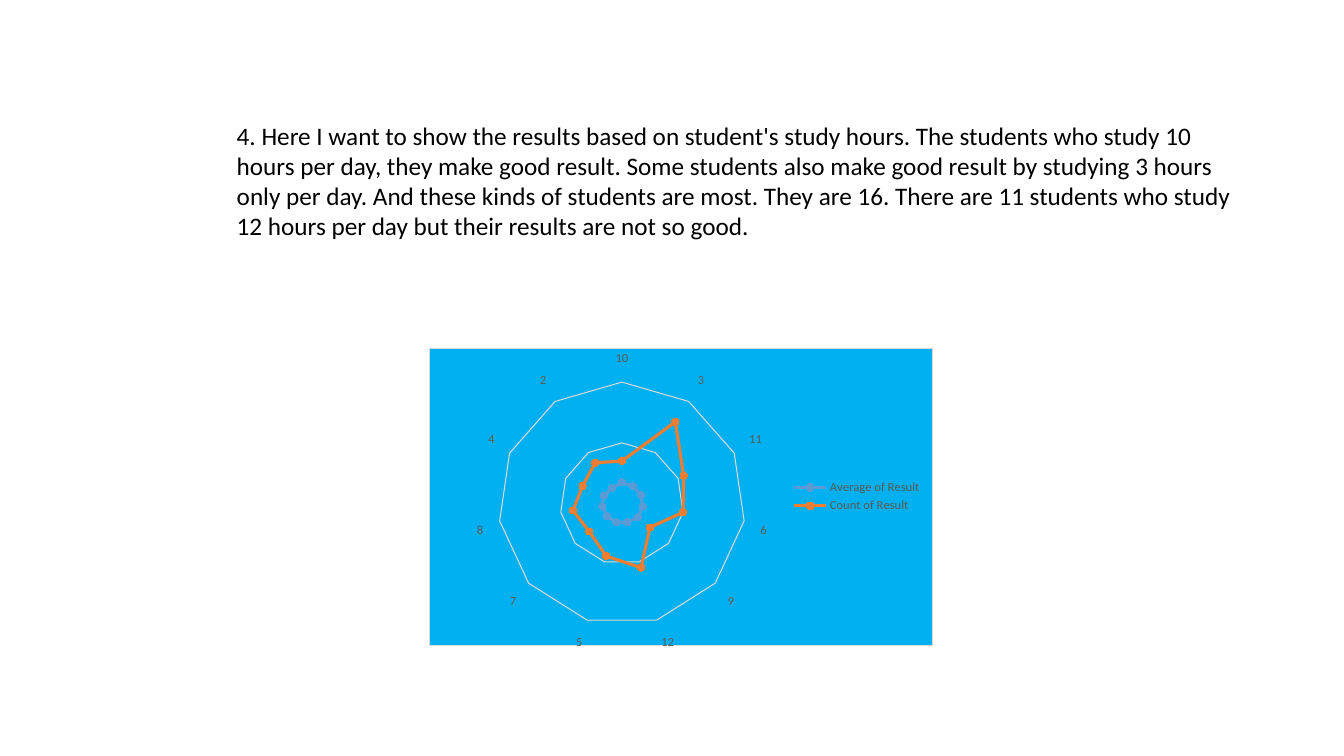
from lxml.etree import fromstring
from pptx import Presentation
from pptx.chart.data import CategoryChartData
from pptx.dml.color import RGBColor
from pptx.enum.chart import XL_CHART_TYPE, XL_LEGEND_POSITION, XL_MARKER_STYLE, XL_TICK_MARK
from pptx.util import Inches, Pt

BLACK = RGBColor(0x00, 0x00, 0x00)
GRAY = RGBColor(0x59, 0x59, 0x59)
SILVER = RGBColor(0xD9, 0xD9, 0xD9)
SKY = RGBColor(0x00, 0xB0, 0xF0)
BLUE = RGBColor(0x5B, 0x9B, 0xD5)
ORANGE = RGBColor(0xED, 0x7D, 0x31)

NAMESPACES = (
    'xmlns:c="http://schemas.openxmlformats.org/drawingml/2006/chart" '
    'xmlns:a="http://schemas.openxmlformats.org/drawingml/2006/main"'
)
STUDY_HOURS = ["10", "3", "11", "6", "9", "12", "5", "7", "8", "4", "2"]
RESULTS = [
    ("Average of Result", [3.5, 3.4, 3.4, 3.4, 3.4, 3.2, 3.2, 3.2, 3.2, 3.2, 3.0], BLUE),
    ("Count of Result", [7, 16, 11, 10, 6, 11, 9, 7, 8, 7, 8], ORANGE),
]
EXPLANATION = (
    "4. Here I want to show the results based on student's study hours. "
    "The students who study 10 hours per day, they make good result. "
    "Some students also make good result by studying 3 hours only per day. "
    "And these kinds of students are most. They are 16. "
    "There are 11 students who study 12 hours per day but their results are not so good."
)


class SlideBuilder:
    """Holds the text style and the current slide, and adds elements to it."""

    def __init__(self, page, font_name="Calibri"):
        self.page = page
        self.font_name = font_name

    def style_font(self, font, size, color):
        font.name = self.font_name
        font.size = Pt(size)
        font.color.rgb = color

    def style_line(self, line, width, color):
        line.width = Pt(width)
        line.color.rgb = color

    def add_text(self, text, left, top, width, height, size):
        box = self.page.shapes.add_textbox(Inches(left), Inches(top), Inches(width), Inches(height))
        box.text_frame.word_wrap = True
        box.text_frame.text = text
        for para in box.text_frame.paragraphs:
            for span in para.runs:
                self.style_font(span.font, size, BLACK)

    def add_radar(self, categories, results, left, top, width, height):
        data = CategoryChartData(number_format="General")
        data.categories = categories
        for name, values, _ in results:
            data.add_series(name, values)
        chart = self.page.shapes.add_chart(
            XL_CHART_TYPE.RADAR_MARKERS, Inches(left), Inches(top), Inches(width), Inches(height), data
        ).chart
        chart.has_title = False
        self.style_font(chart.font, 10, BLACK)
        chart.plots[0].vary_by_categories = False
        for series, (_, _, color) in zip(chart.plots[0].series, results):
            self.style_series(series, color)
        self.style_axes(chart)
        chart.has_legend = True
        chart.legend.position = XL_LEGEND_POSITION.RIGHT
        chart.legend.include_in_layout = False
        self.style_font(chart.legend.font, 9, GRAY)
        self.place_plot(chart, x=0.138, y=0.114, w=0.491, h=0.819)
        self.fill_chart(chart, SKY, SILVER)

    def style_series(self, series, color):
        series.smooth = False
        self.style_line(series.format.line, 2.25, color)
        series.marker.style = XL_MARKER_STYLE.CIRCLE
        series.marker.size = 5
        series.marker.format.fill.solid()
        series.marker.format.fill.fore_color.rgb = color
        self.style_line(series.marker.format.line, 0.75, color)

    def style_axes(self, chart):
        hours = chart.category_axis
        hours.has_major_gridlines = False
        hours.major_tick_mark = XL_TICK_MARK.NONE
        self.style_font(hours.tick_labels.font, 9, GRAY)
        self.style_line(hours.format.line, 0.75, SILVER)
        scale = chart.value_axis
        scale.minimum_scale, scale.maximum_scale, scale.major_unit = 0, 20, 10
        scale.has_major_gridlines = True
        self.style_line(scale.major_gridlines.format.line, 0.75, SILVER)
        scale.tick_labels.number_format = "0.00"
        scale.tick_labels.number_format_is_linked = False
        scale.visible = False

    def place_plot(self, chart, **fractions):
        plot_area = chart.element.chart.plotArea
        for layout in plot_area.xpath("c:layout"):
            plot_area.remove(layout)
        sizes = "".join(f'<c:{key} val="{value}"/>' for key, value in fractions.items())
        plot_area.insert(0, fromstring(
            f'<c:layout {NAMESPACES}><c:manualLayout><c:layoutTarget val="inner"/>'
            f'<c:xMode val="edge"/><c:yMode val="edge"/>{sizes}</c:manualLayout></c:layout>'
        ))

    def fill_chart(self, chart, fill, border):
        chart.element.chart.addnext(fromstring(
            f'<c:spPr {NAMESPACES}><a:solidFill><a:srgbClr val="{fill}"/></a:solidFill>'
            f'<a:ln w="{Pt(0.75)}"><a:solidFill><a:srgbClr val="{border}"/></a:solidFill></a:ln></c:spPr>'
        ))


def main():
    deck = Presentation()
    deck.slide_width = Inches(13.33)
    deck.slide_height = Inches(7.5)
    builder = SlideBuilder(deck.slides.add_slide(deck.slide_layouts[6]))
    builder.add_radar(STUDY_HOURS, RESULTS, 4.25, 3.45, 5, 3)
    builder.add_text(EXPLANATION, 2.25, 1.14, 10.27, 1.31, 18)
    deck.save("out.pptx")


if __name__ == "__main__":
    main()
